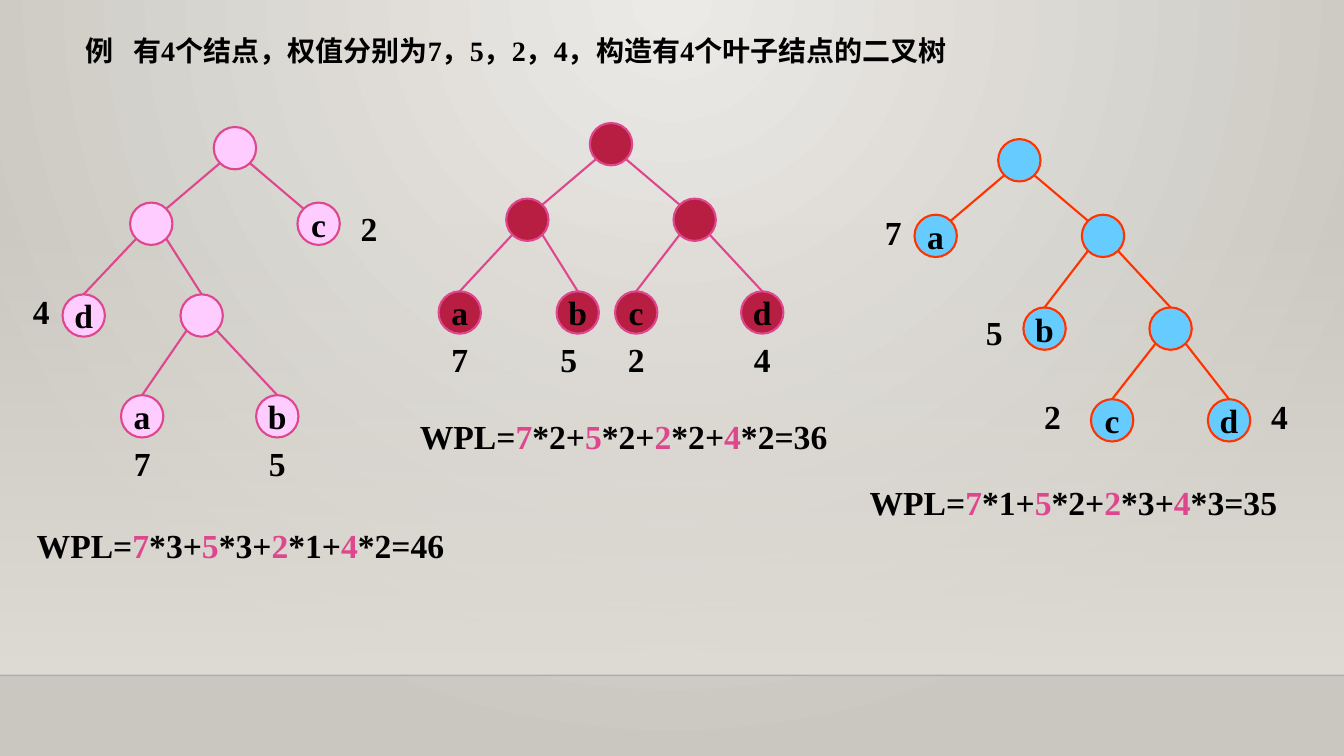
from pptx import Presentation
from pptx.dml.color import RGBColor
from pptx.enum.shapes import MSO_CONNECTOR, MSO_SHAPE
from pptx.enum.text import MSO_ANCHOR, MSO_AUTO_SIZE, PP_ALIGN
from pptx.oxml import parse_xml
from pptx.oxml.ns import nsdecls
from pptx.util import Inches, Pt

BLACK, PINK = "000000", "DE478E"
SIZE = 0.42            # node diameter
NEAR, FAR = 0.06, 0.36  # diagonal points on a node's rim
WEIGHTS = {"a": 7, "b": 5, "c": 2, "d": 4}

# Nodes: name -> (x offset, level, parent); labels: leaf -> offset of its weight
TREES = [
    dict(box=(4.35, 1.22), levels=(0, 0.75, 1.67), fill="B71E42", line=PINK,
         nodes={"root": (1.5, 0, None), "left": (0.67, 1, "root"),
                "right": (2.33, 1, "root"), "a": (0, 2, "left"),
                "b": (1.17, 2, "left"), "c": (1.75, 2, "right"),
                "d": (3, 2, "right")},
         labels={"a": (0, 0.42), "b": (-0.09, 0.42),
                 "c": (0, 0.42), "d": (0, 0.42)},
         formula=(-0.33, 2.86, 4.33)),
    dict(box=(0.62, 1.26), levels=(0, 0.75, 1.66, 2.66), fill="FFCCFF", line=PINK,
         nodes={"root": (1.5, 0, None), "left": (0.67, 1, "root"),
                "c": (2.33, 1, "root"), "d": (0, 2, "left"),
                "inner": (1.17, 2, "left"), "a": (0.58, 3, "inner"),
                "b": (1.92, 3, "inner")},
         labels={"a": (0, 0.42), "b": (0, 0.42),
                 "c": (0.5, 0), "d": (-0.42, -0.08)},
         formula=(-0.36, 3.9, 4.25)),
    dict(box=(9.07, 1.38), levels=(0, 0.75, 1.67, 2.58), fill="66CCFF", line="FF3300",
         nodes={"root": (0.83, 0, None), "a": (0, 1, "root"),
                "right": (1.66, 1, "root"), "b": (1.08, 2, "right"),
                "inner": (2.33, 2, "right"), "c": (1.75, 3, "inner"),
                "d": (2.91, 3, "inner")},
         labels={"a": (-0.42, -0.08), "b": (-0.5, 0),
                 "c": (-0.59, -0.08), "d": (0.5, -0.08)},
         formula=(-0.55, 3.35, 4.25)),
]


def rgb(color):
    return RGBColor.from_string(color)


def add_run(p, text, size=24, color=BLACK):
    r = p.add_run()
    r.text = text
    font = {"name": "Times New Roman", "size": Pt(size), "bold": True}
    for key, value in font.items():
        setattr(r.font, key, value)
    r.font.color.rgb = rgb(color)


def add_text(shapes, x, y, width, parts):
    """Centred text box from (text, colour) parts."""
    sp = shapes.add_textbox(*map(Inches, (x, y, width, 0.5)))
    tf = sp.text_frame
    tf.word_wrap = True
    tf.auto_size = MSO_AUTO_SIZE.SHAPE_TO_FIT_TEXT
    p = tf.paragraphs[0]
    p.alignment = PP_ALIGN.CENTER
    for text, color in parts:
        add_run(p, text, color=color)


def add_line(shapes, start, end, color, width):
    line = shapes.add_connector(MSO_CONNECTOR.STRAIGHT, *map(Inches, start + end))
    line.line.color.rgb = rgb(color)
    line.line.width = Pt(width)
    line._element.spPr.append(parse_xml(f"<a:effectLst {nsdecls('a')}/>"))
    return line


def set_gradient(fill, colors):
    fill.gradient()
    for stop, color in zip(fill.gradient_stops, colors):
        stop.color.rgb = rgb(color)


def add_alpha(color_element, percent):
    color_element.append(parse_xml(f'<a:alpha {nsdecls("a")} val="{percent * 1000}"/>'))


def add_backdrop(s, x, y, width, height):
    # Radial background centred on the top edge
    set_gradient(s.background.fill, ("ECEAE7", "CAC7C1"))
    lin = s._element.xpath("./p:cSld/p:bg//a:lin")[0]
    lin.getparent().replace(lin, parse_xml(
        f'<a:path {nsdecls("a")} path="circle">'
        '<a:fillToRect l="43000" t="0" r="43000" b="100000"/></a:path>'))

    # Wall that fades in towards the floor line
    wall = s.shapes.add_shape(MSO_SHAPE.RECTANGLE, *map(Inches, (x, y, width, height)))
    wall.shadow.inherit = False
    wall.line.fill.background()
    set_gradient(wall.fill, ("DFDBD5", "DFDBD5"))
    wall.fill.gradient_angle = 270
    add_alpha(wall._element.xpath(".//a:gs/a:srgbClr")[0], 0)

    # Floor line
    floor = y + height
    line = add_line(s.shapes, (x, floor), (x + width, floor), "000001", 1)
    add_alpha(line._element.xpath(".//a:ln//a:srgbClr")[0], 20)


def add_title(s, x, y, width, height):
    sp = s.shapes.title
    box = {"left": x, "top": y, "width": width, "height": height}
    for key, value in box.items():
        setattr(sp, key, Inches(value))
    tf = sp.text_frame
    frame = {"word_wrap": True, "vertical_anchor": MSO_ANCHOR.TOP,
             "auto_size": MSO_AUTO_SIZE.SHAPE_TO_FIT_TEXT}
    for key, value in frame.items():
        setattr(tf, key, value)
    p = tf.paragraphs[0]
    p.alignment = PP_ALIGN.LEFT
    add_run(p, "例\t有4个结点，权值分别为7，5，2，4，构造有4个叶子结点的二叉树", 20)
    p._p.get_or_add_pPr().append(parse_xml(
        f'<a:tabLst {nsdecls("a")}><a:tab pos="{Inches(0.47)}" algn="l"/></a:tabLst>'))


def add_node(shapes, x, y, label, fill, line):
    sp = shapes.add_shape(MSO_SHAPE.OVAL, *map(Inches, (x, y, SIZE, SIZE)))
    sp.shadow.inherit = False
    sp.fill.solid()
    sp.fill.fore_color.rgb = rgb(fill)
    sp.line.color.rgb = rgb(line)
    sp.line.width = Pt(1.5)
    if label:
        tf = sp.text_frame
        tf.word_wrap = False
        tf.vertical_anchor = MSO_ANCHOR.MIDDLE
        tf.paragraphs[0].alignment = PP_ALIGN.CENTER
        add_run(tf.paragraphs[0], label)
    return sp


def add_tree(s, box, levels, fill, line, nodes, labels, formula):
    x, y = box
    shapes = s.shapes.add_group_shape().shapes
    spots = {name: (x + dx, y + levels[level])
             for name, (dx, level, _) in nodes.items()}

    # Nodes
    ovals = {name: add_node(shapes, *spot, name if name in WEIGHTS else "", fill, line)
             for name, spot in spots.items()}

    # Branches
    for name, (_, level, parent) in nodes.items():
        if parent is None:
            continue
        (px, py), (cx, cy) = spots[parent], spots[name]
        out, back = (NEAR, FAR) if cx < px else (FAR, NEAR)
        end = (cx + back, cy + NEAR) if level == 1 else (cx + SIZE / 2, cy)
        branch = add_line(shapes, (px + out, py + FAR), end, line, 1.5)
        if level > 1:
            branch.end_connect(ovals[name], 0)

    # Leaf weights
    for name, (dx, dy) in labels.items():
        nx, ny = spots[name]
        add_text(shapes, nx + dx, ny + dy, SIZE, [(str(WEIGHTS[name]), BLACK)])

    # Weighted path length
    total = sum(w * nodes[name][1] for name, w in WEIGHTS.items())
    parts = [("WPL=", BLACK)]
    for name, w in WEIGHTS.items():
        tail = f"={total}" if name == "d" else "+"
        parts += [(str(w), PINK), (f"*{nodes[name][1]}{tail}", BLACK)]
    dx, dy, width = formula
    add_text(s.shapes, x + dx, y + dy, width, parts)


def main():
    prs = Presentation()
    prs.slide_width, prs.slide_height = Inches(13.33), Inches(7.5)
    s = prs.slides.add_slide(prs.slide_layouts[5])
    add_backdrop(s, 0, 2.21, 13.33, 4.49)
    add_title(s, 0.75, 0.28, 9, 0.43)
    for tree in TREES:
        add_tree(s, **tree)
    # Title text sits in front of the wall
    s.shapes._spTree.append(s.shapes.title._element)
    prs.save("out.pptx")


if __name__ == "__main__":
    main()
